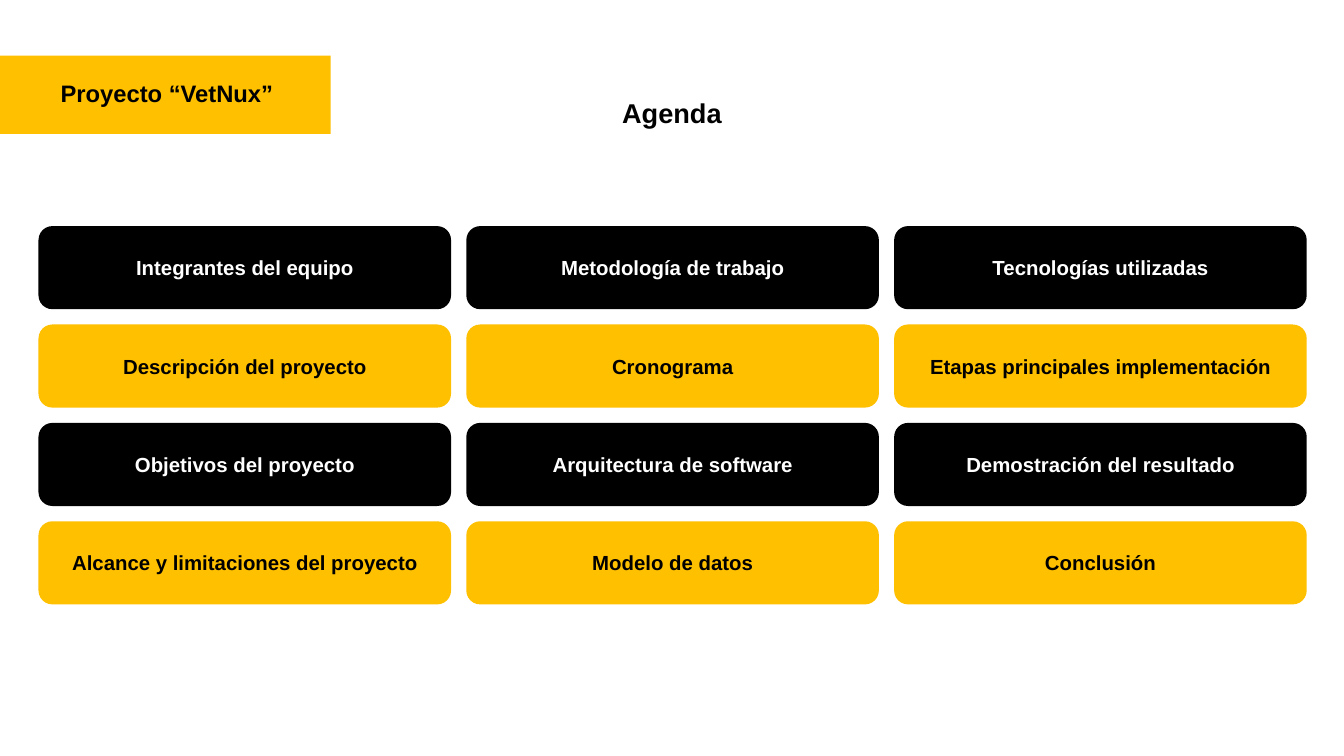
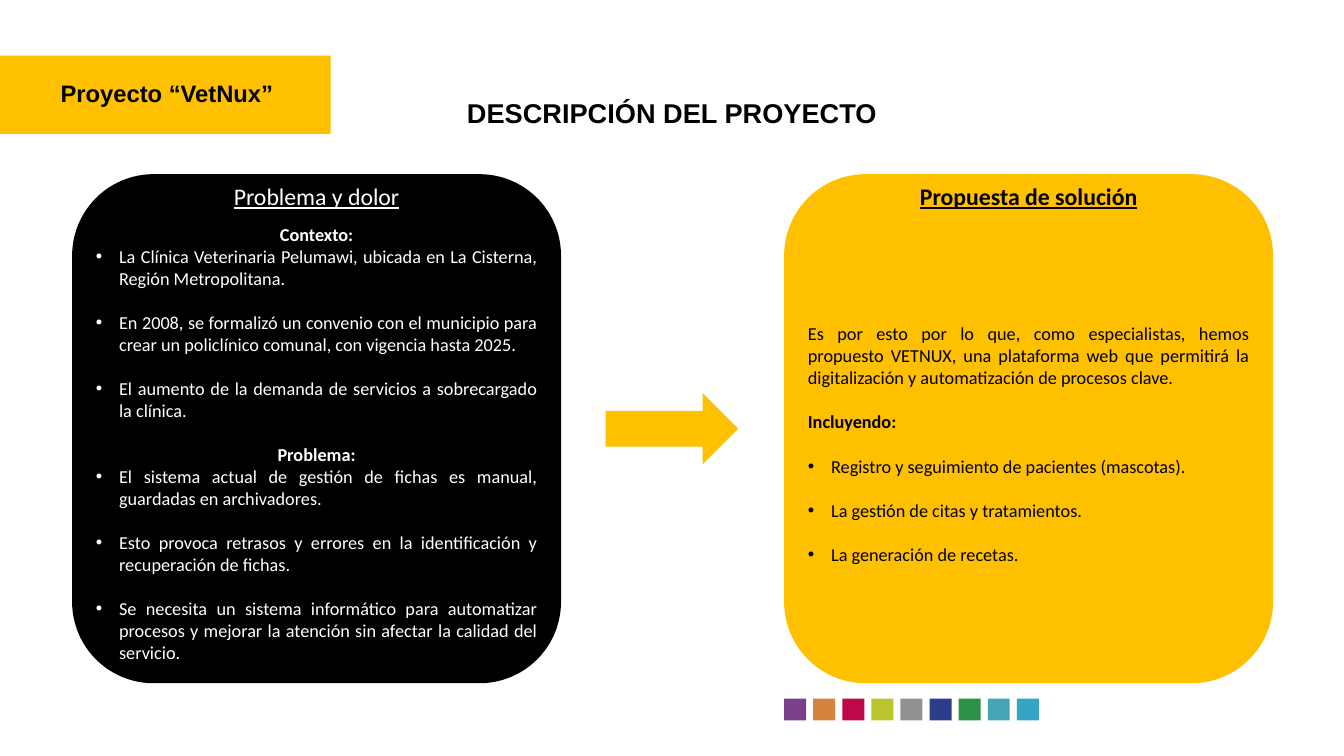
from lxml import etree
from pptx import Presentation
from pptx.dml.color import RGBColor
from pptx.enum.shapes import MSO_SHAPE
from pptx.enum.text import MSO_ANCHOR, PP_ALIGN
from pptx.oxml.ns import qn
from pptx.util import Inches, Pt

RECT = MSO_SHAPE.RECTANGLE
ROUND = MSO_SHAPE.ROUNDED_RECTANGLE
ARROW = MSO_SHAPE.RIGHT_ARROW
MIDDLE = MSO_ANCHOR.MIDDLE
CENTER, JUSTIFY = PP_ALIGN.CENTER, PP_ALIGN.JUSTIFY

YELLOW, BLACK, WHITE = "FFC000", "000000", "FFFFFF"
SQUARE_COLORS = ["7B408A", "D6843D", "BD0949", "BAC52E", "929292",
                 "2C3E8B", "2C9146", "44A6B5", "35A4C5"]
HEAD_FONT, BODY_FONT = "Arial", "Calibri"
BODY_SIZE = 21.5
LINE_GAP = 26.25
HANGING = 0.38

AGENDA = [
    ["Integrantes del equipo", "Metodología de trabajo", "Tecnologías utilizadas"],
    ["Descripción del proyecto", "Cronograma", "Etapas principales implementación"],
    ["Objetivos del proyecto", "Arquitectura de software", "Demostración del resultado"],
    ["Alcance y limitaciones del proyecto", "Modelo de datos", "Conclusión"],
]

# Each item is (kind, text); kinds are head, plain and bullet.
PROBLEM = [
    ("head", "Contexto:"),
    ("bullet", "La Clínica Veterinaria Pelumawi, ubicada en La Cisterna, Región Metropolitana."),
    ("bullet", "En 2008, se formalizó un convenio con el municipio para crear un "
               "policlínico comunal, con vigencia hasta 2025."),
    ("bullet", "El aumento de la demanda de servicios a sobrecargado la clínica."),
    ("head", "Problema:"),
    ("bullet", "El sistema actual de gestión de fichas es manual, guardadas en archivadores."),
    ("bullet", "Esto provoca retrasos y errores en la identificación y recuperación de fichas."),
    ("bullet", "Se necesita un sistema informático para automatizar procesos y mejorar "
               "la atención sin afectar la calidad del servicio."),
]
SOLUTION = [
    ("plain", "Es por esto por lo que, como especialistas, hemos propuesto VETNUX, una "
              "plataforma web que permitirá la digitalización y automatización de procesos clave."),
    ("head", "Incluyendo:"),
    ("bullet", "Registro y seguimiento de pacientes (mascotas)."),
    ("bullet", "La gestión de citas y tratamientos."),
    ("bullet", "La generación de recetas."),
]


def rgb(color):
    return RGBColor.from_string(color)


def add_box(s, kind, left, top, width, height, color):
    sp = s.shapes.add_shape(kind, Inches(left), Inches(top), Inches(width), Inches(height))
    sp.shadow.inherit = False
    sp.fill.solid()
    sp.fill.fore_color.rgb = rgb(color)
    sp.line.fill.background()
    return sp


def add_frame(s, left, top, width, height):
    sp = s.shapes.add_textbox(Inches(left), Inches(top), Inches(width), Inches(height))
    sp.text_frame.word_wrap = True
    return sp.text_frame


def write(p, text, size, color, font=HEAD_FONT, bold=True, underline=None, align=CENTER):
    p.text = text
    p.alignment = align
    f = p.runs[0].font
    f.name, f.size, f.bold, f.underline = font, Pt(size), bold, underline
    f.color.rgb = rgb(color)


def add_bullet(p):
    pPr = p._p.get_or_add_pPr()
    pPr.set("marL", str(Inches(HANGING)))
    pPr.set("indent", str(-Inches(HANGING)))
    etree.SubElement(pPr, qn("a:buFont")).set("typeface", "Arial")
    etree.SubElement(pPr, qn("a:buChar")).set("char", "•")


def add_items(tf, items, color, head_align, gap_after_head):
    previous = None
    for kind, text in items:
        p = tf.add_paragraph() if previous else tf.paragraphs[0]
        if kind == "bullet":
            add_bullet(p)
        write(p, text, BODY_SIZE, color, BODY_FONT, bold=kind == "head",
              align=head_align if kind == "head" else JUSTIFY)
        if previous and (previous != "head" or gap_after_head):
            p.space_before = Pt(LINE_GAP)
        previous = kind


def add_panel(s, left, fill, color, title, bold):
    """Rounded panel with an underlined title at its top."""
    top, width = 2.85, 8
    add_box(s, ROUND, left, top, width, 8.33, fill)
    tf = add_frame(s, left + 1.45, top + 0.08, width - 2.9, 0.57)
    write(tf.paragraphs[0], title, 28, color, BODY_FONT, bold, underline=True)


def add_slide(prs, title):
    """Blank slide with the project band and the title."""
    s = prs.slides.add_slide(prs.slide_layouts[6])
    add_box(s, RECT, 0, 0.91, 5.41, 1.28, YELLOW)
    tf = add_frame(s, 0.63, 1.29, 4.2, 0.47)
    tf.margin_left = tf.margin_right = tf.margin_top = tf.margin_bottom = 0
    write(tf.paragraphs[0], "Proyecto “VetNux”", 28, BLACK)
    tf = add_frame(s, 5.9, 1.53, 10.19, 0.64)
    write(tf.paragraphs[0], title, 32, BLACK)
    return s


def agenda_slide(prs):
    s = add_slide(prs, "Agenda")
    width, height, gap = 6.75, 1.36, 0.25
    for row, topics in enumerate(AGENDA):
        fill, color = [(BLACK, WHITE), (YELLOW, BLACK)][row % 2]
        for col, topic in enumerate(topics):
            sp = add_box(s, ROUND, 0.63 + col * (width + gap),
                         3.7 + row * (height + gap), width, height, fill)
            tf = sp.text_frame
            tf.word_wrap = True
            tf.vertical_anchor = MIDDLE
            write(tf.paragraphs[0], topic, 24, color)


def description_slide(prs):
    s = add_slide(prs, "DESCRIPCIÓN DEL PROYECTO")
    for i, color in enumerate(SQUARE_COLORS):
        add_box(s, RECT, 12.83 + i * 0.476, 11.43, 0.36, 0.36, color)
    add_panel(s, 1.18, BLACK, WHITE, "Problema y dolor", bold=False)
    add_items(add_frame(s, 1.47, 3.6, 7.42, 7.34), PROBLEM, WHITE, CENTER,
              gap_after_head=False)
    add_box(s, ARROW, 9.91, 6.43, 2.17, 1.17, YELLOW)
    add_panel(s, 12.83, YELLOW, BLACK, "Propuesta de solución", bold=True)
    add_items(add_frame(s, 13.12, 5.23, 7.42, 4.08), SOLUTION, BLACK, JUSTIFY,
              gap_after_head=True)


def main():
    prs = Presentation()
    prs.slide_width, prs.slide_height = Inches(21.99), Inches(12.37)
    agenda_slide(prs)
    description_slide(prs)
    prs.save("out.pptx")


if __name__ == "__main__":
    main()
